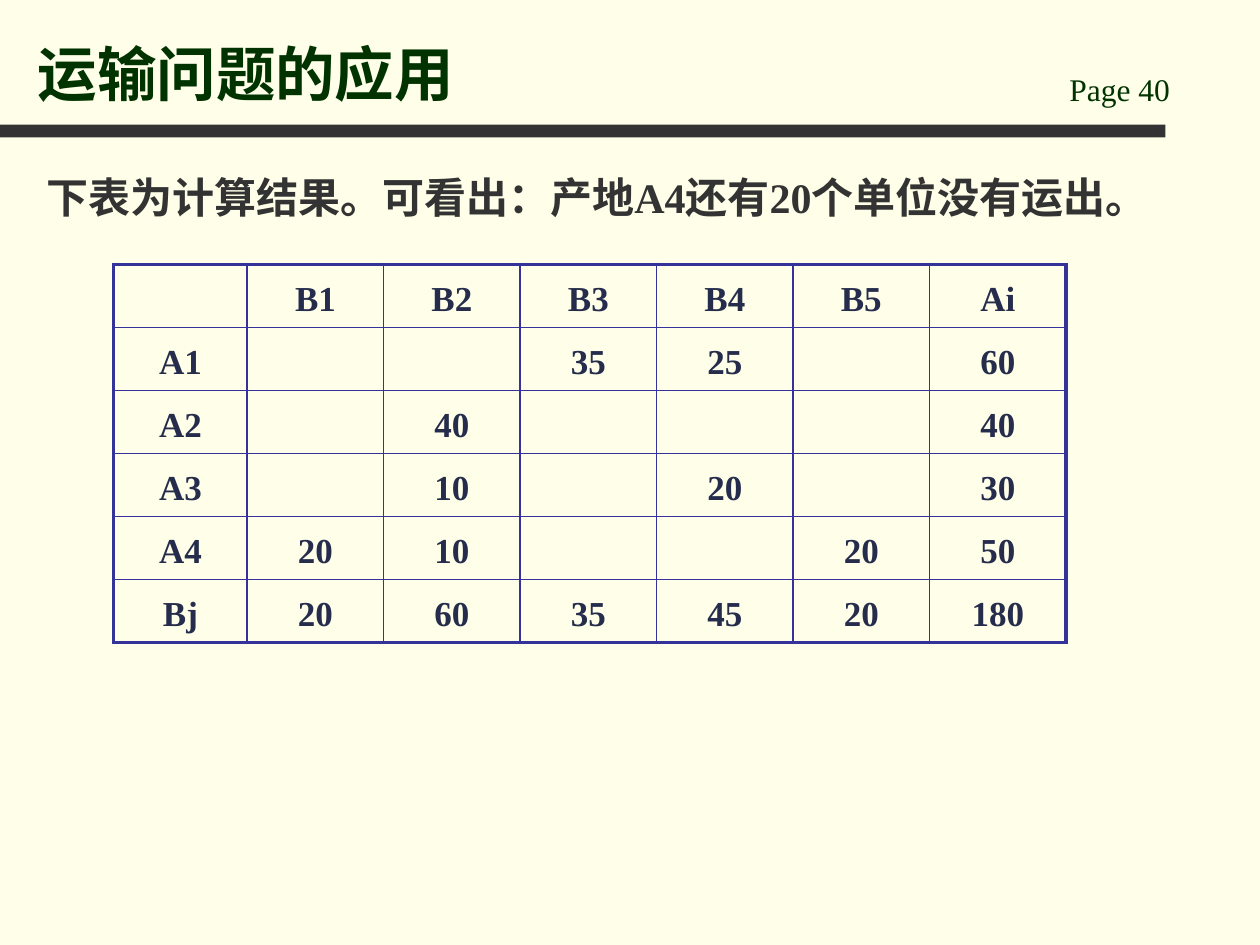
from lxml import etree
from pptx import Presentation
from pptx.dml.color import RGBColor
from pptx.enum.shapes import MSO_SHAPE
from pptx.enum.text import MSO_ANCHOR, PP_ALIGN
from pptx.oxml.ns import qn
from pptx.util import Pt

RECTANGLE = MSO_SHAPE.RECTANGLE
LEFT, CENTER = PP_ALIGN.LEFT, PP_ALIGN.CENTER
TOP, MIDDLE, BOTTOM = MSO_ANCHOR.TOP, MSO_ANCHOR.MIDDLE, MSO_ANCHOR.BOTTOM
TITLE_ONLY = 5

FONT = "Times New Roman"
COLORS = {
    "background": "FFFFE9",
    "heading": "003300",
    "body": "333333",
    "cell": "262D4C",
    "grid": "333399",
}
THIN, THICK = 1, 2.25

SHIPMENTS = [
    ["", "B1", "B2", "B3", "B4", "B5", "Ai"],
    ["A1", "", "", "35", "25", "", "60"],
    ["A2", "", "40", "", "", "", "40"],
    ["A3", "", "10", "", "20", "", "30"],
    ["A4", "20", "10", "", "", "20", "50"],
    ["Bj", "20", "60", "35", "45", "20", "180"],
]


def rgb(name):
    return RGBColor.from_string(COLORS[name])


def write_text(frame, text, *, size, color, bold=False, align=LEFT,
               anchor=TOP, spacing=1.0):
    frame.word_wrap = True
    frame.vertical_anchor = anchor
    paragraph = frame.paragraphs[0]
    paragraph.alignment = align
    paragraph.line_spacing = spacing
    paragraph.space_before = Pt(0)
    run = paragraph.add_run()
    run.text = text
    run.font.name = FONT
    run.font.size = Pt(size)
    run.font.bold = bold
    run.font.color.rgb = rgb(color)
    return paragraph


def set_borders(cell, **widths):
    """Draw the cell's edges; they come first in its properties."""
    properties = cell._tc.get_or_add_tcPr()
    for index, (edge, width) in enumerate(widths.items()):
        line = etree.Element(qn(f"a:ln{edge}"), w=str(Pt(width)))
        fill = etree.SubElement(line, qn("a:solidFill"))
        etree.SubElement(fill, qn("a:srgbClr"), val=COLORS["grid"])
        properties.insert(index, line)


def add_header(slide, left, top, width, height):
    # Title
    title = slide.shapes.title
    title.left, title.top = Pt(left + 14.4), Pt(top + 9.4)
    title.width, title.height = Pt(578), Pt(56)
    write_text(title.text_frame, "运输问题的应用", size=34, color="heading",
               bold=True, anchor=BOTTOM)

    # Page number
    page = slide.shapes.add_textbox(Pt(left + 604), Pt(top + 36.7),
                                    Pt(102), Pt(29))
    write_text(page.text_frame, "Page 40", size=18, color="heading")

    # Rule along the bottom edge
    thickness = 7.2
    rule = slide.shapes.add_shape(RECTANGLE, Pt(left),
                                  Pt(top + height - thickness),
                                  Pt(width), Pt(thickness))
    rule.shadow.inherit = False
    rule.fill.solid()
    rule.fill.fore_color.rgb = rgb("body")
    rule.line.fill.background()


def add_statement(slide, left, top, width, height):
    statement = slide.shapes.add_textbox(Pt(left), Pt(top), Pt(width), Pt(height))
    paragraph = write_text(
        statement.text_frame, "下表为计算结果。可看出：产地A4还有20个单位没有运出。",
        size=24, color="body", bold=True, spacing=1.2)
    # The closing full stop hangs past the right margin
    paragraph._p.get_or_add_pPr().set("hangingPunct", "1")


def add_shipment_table(slide, left, top, width, height):
    last_row, last_column = len(SHIPMENTS) - 1, len(SHIPMENTS[0]) - 1
    table = slide.shapes.add_table(last_row + 1, last_column + 1, Pt(left),
                                   Pt(top), Pt(width), Pt(height)).table
    table.first_row = table.horz_banding = False

    first_width = 76.3
    for index, column in enumerate(table.columns):
        column.width = Pt(first_width if index == 0
                          else (width - first_width) / last_column)
    for row in table.rows:
        row.height = Pt(height / (last_row + 1))

    for r, values in enumerate(SHIPMENTS):
        for c, value in enumerate(values):
            cell = table.cell(r, c)
            cell.fill.background()
            cell.vertical_anchor = MIDDLE
            if value:
                write_text(cell.text_frame, value, size=20, color="cell",
                           bold=True, align=CENTER, anchor=MIDDLE, spacing=1.2)
            set_borders(cell,
                        L=THICK if c == 0 else THIN,
                        R=THICK if c == last_column else THIN,
                        T=THICK if r == 0 else THIN,
                        B=THICK if r == last_row else THIN)


def main():
    prs = Presentation()
    prs.slide_width, prs.slide_height = Pt(720), Pt(540)
    slide = prs.slides.add_slide(prs.slide_layouts[TITLE_ONLY])
    slide.background.fill.solid()
    slide.background.fill.fore_color.rgb = rgb("background")

    add_header(slide, 0, 0, 666, 78.5)
    add_statement(slide, 19.4, 88.6, 646.6, 79)
    add_shipment_table(slide, 65, 151, 544.3, 216)
    prs.save("out.pptx")


if __name__ == "__main__":
    main()
